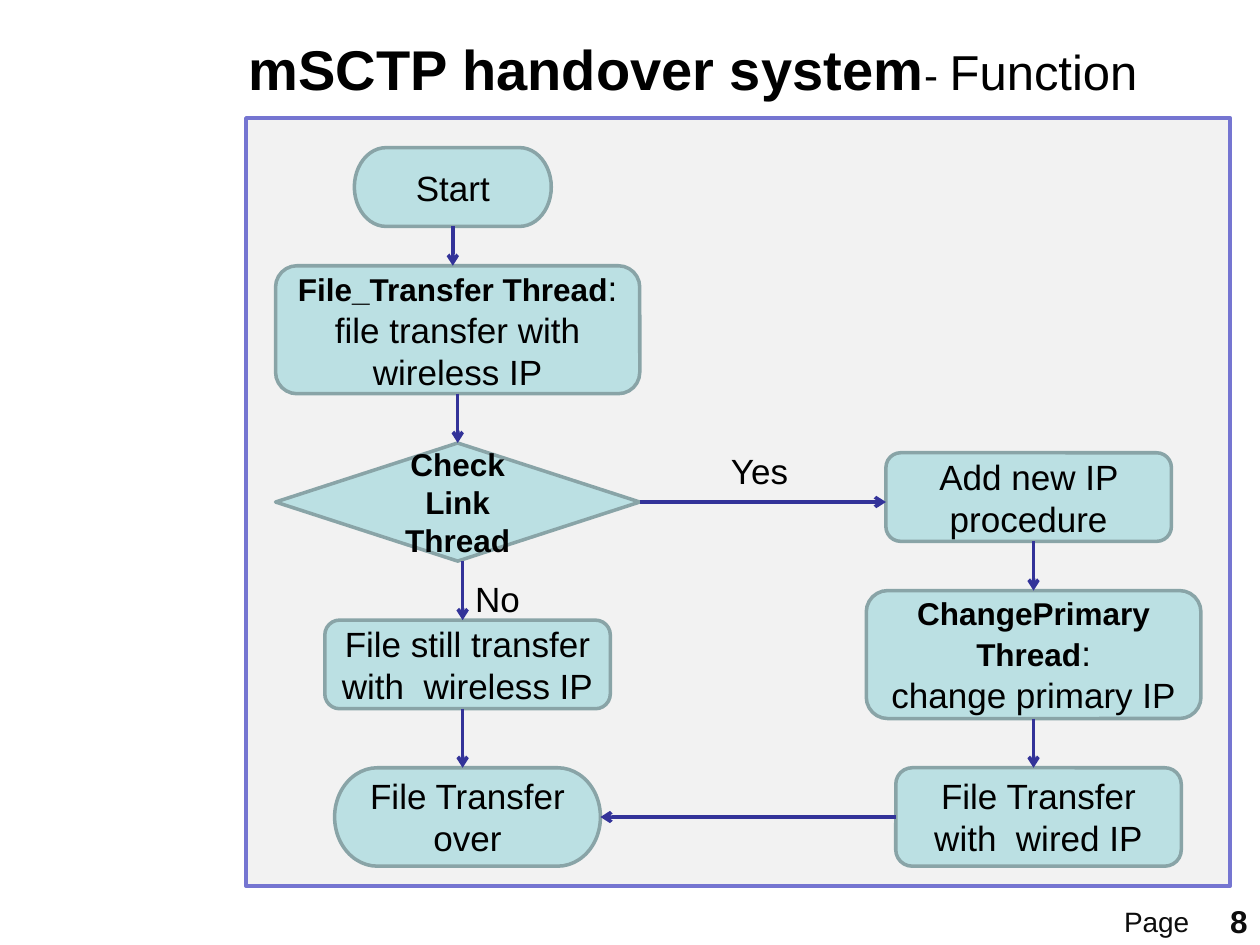
"""Build the mSCTP handover flowchart slide on a grid of 128 columns by 96 rows."""
from lxml import etree
from pptx import Presentation
from pptx.dml.color import RGBColor
from pptx.enum.shapes import MSO_CONNECTOR, MSO_SHAPE
from pptx.enum.text import MSO_ANCHOR, MSO_AUTO_SIZE, PP_ALIGN
from pptx.oxml.ns import qn
from pptx.util import Inches, Pt

TERMINATOR = MSO_SHAPE.FLOWCHART_TERMINATOR
DECISION = MSO_SHAPE.FLOWCHART_DECISION
ROUNDED = MSO_SHAPE.ROUNDED_RECTANGLE
LEFT, CENTER, RIGHT = PP_ALIGN.LEFT, PP_ALIGN.CENTER, PP_ALIGN.RIGHT
TOP, MIDDLE = MSO_ANCHOR.TOP, MSO_ANCHOR.MIDDLE
TOP_SIDE, LEFT_SIDE, BOTTOM_SIDE, RIGHT_SIDE = range(4)

THEME = {
    "font": "Arial", "text": "000000", "footer": "0D0D0D",
    "panel": "F2F2F2", "panel_line": "7575D1",
    "node": "BBE0E3", "node_line": "89A4A7", "arrow": "333399",
    "title": 32, "subtitle": 28, "dash": 24, "body": 20, "thread": 18, "page": 16,
    "panel_width": 2.25, "line_width": 2,
}

deck = Presentation()
deck.slide_width, deck.slide_height = Inches(10), Inches(7.5)
page = deck.slides.add_slide(deck.slide_layouts[5])
column, row = deck.slide_width / 128, deck.slide_height / 96


def grid(left, top, width, height):
    """Turn grid cells into slide lengths."""
    return int(left * column), int(top * row), int(width * column), int(height * row)


def write(box, paragraphs, align=CENTER, anchor=MIDDLE, color="text"):
    """Fill a box with paragraphs of (text, size, bold) spans."""
    frame = box.text_frame
    frame.word_wrap = True
    frame.auto_size = MSO_AUTO_SIZE.NONE
    frame.vertical_anchor = anchor
    for index, spans in enumerate(paragraphs):
        para = frame.add_paragraph() if index else frame.paragraphs[0]
        para.alignment = align
        for text, size, bold in spans:
            span = para.add_run()
            span.text = text
            span.font.name = THEME["font"]
            span.font.size = Pt(THEME[size])
            span.font.bold = bold
            span.font.color.rgb = RGBColor.from_string(THEME[color])


title = page.shapes.title
title.left, title.top, title.width, title.height = grid(24, 3, 100, 7.8)
write(title, [[("mSCTP handover system", "title", True), ("- ", "dash", False),
               ("Function", "subtitle", False)]], LEFT)

panel = page.shapes.add_shape(MSO_SHAPE.RECTANGLE, *grid(25, 12, 100, 78))
panel.shadow.inherit = False
panel.fill.solid()
panel.fill.fore_color.rgb = RGBColor.from_string(THEME["panel"])
panel.line.color.rgb = RGBColor.from_string(THEME["panel_line"])
panel.line.width = Pt(THEME["panel_width"])

steps = {
    "start": (TERMINATOR, (36, 15, 20, 8), [[("Start", "body", False)]]),
    "transfer": (ROUNDED, (28, 27, 37, 13), [
        [("File_Transfer Thread", "thread", True), (":", "body", False)],
        [("file transfer with wireless IP", "body", False)]]),
    "wireless": (ROUNDED, (33, 63, 29, 9), [
        [("File still transfer with  wireless IP", "body", False)]]),
    "wired": (ROUNDED, (91, 78, 29, 10), [
        [("File Transfer with  wired IP", "body", False)]]),
    "check": (DECISION, (28, 45, 37, 12), [[("Check Link Thread", "thread", True)]]),
    "primary": (ROUNDED, (88, 60, 34, 13), [
        [("ChangePrimary Thread", "thread", True), (":", "body", False)],
        [("change primary IP", "body", False)]]),
    "add": (ROUNDED, (90, 46, 29, 9), [[("Add new IP procedure", "body", False)]]),
    "over": (TERMINATOR, (34, 78, 27, 10), [[("File Transfer over", "body", False)]]),
}
nodes = {}
for name, (kind, cell, paragraphs) in steps.items():
    node = page.shapes.add_shape(kind, *grid(*cell))
    node.shadow.inherit = False
    node.fill.solid()
    node.fill.fore_color.rgb = RGBColor.from_string(THEME["node"])
    node.line.color.rgb = RGBColor.from_string(THEME["node_line"])
    node.line.width = Pt(THEME["line_width"])
    write(node, paragraphs)
    nodes[name] = node

labels = [
    ("No", "body", False, (47, 58, 10, 5.6), LEFT, TOP, "text"),
    ("Yes", "body", False, (73, 45, 9, 5.6), LEFT, TOP, "text"),
    ("8", "thread", True, (121, 91, 7, 5.1), RIGHT, MIDDLE, "footer"),
    ("Page", "page", False, (112, 91, 11, 5.1), CENTER, MIDDLE, "footer"),
]
for text, size, bold, cell, align, anchor, color in labels:
    label = page.shapes.add_textbox(*grid(*cell))
    write(label, [[(text, size, bold)]], align, anchor, color)

flows = [
    ((46, 23, 46, 27), ("start", BOTTOM_SIDE), None),
    ((46.5, 40, 46.5, 45), ("transfer", BOTTOM_SIDE), ("check", TOP_SIDE)),
    ((47, 57, 47, 63), None, None),
    ((47, 72, 47, 78), None, None),
    ((105, 55, 105, 60), None, ("primary", TOP_SIDE)),
    ((105, 73, 105, 78), ("primary", BOTTOM_SIDE), None),
    ((65, 51, 90, 51), ("check", RIGHT_SIDE), None),
    ((91, 83, 61, 83), ("wired", LEFT_SIDE), ("over", RIGHT_SIDE)),
]
for ends, source, target in flows:
    arrow = page.shapes.add_connector(MSO_CONNECTOR.STRAIGHT, *grid(*ends))
    if source:
        arrow.begin_connect(nodes[source[0]], source[1])
    if target:
        arrow.end_connect(nodes[target[0]], target[1])
    arrow.line.color.rgb = RGBColor.from_string(THEME["arrow"])
    arrow.line.width = Pt(THEME["line_width"])
    etree.SubElement(arrow.line._get_or_add_ln(), qn("a:tailEnd"), type="arrow")
    etree.SubElement(arrow._element.spPr, qn("a:effectLst"))

deck.save("out.pptx")
